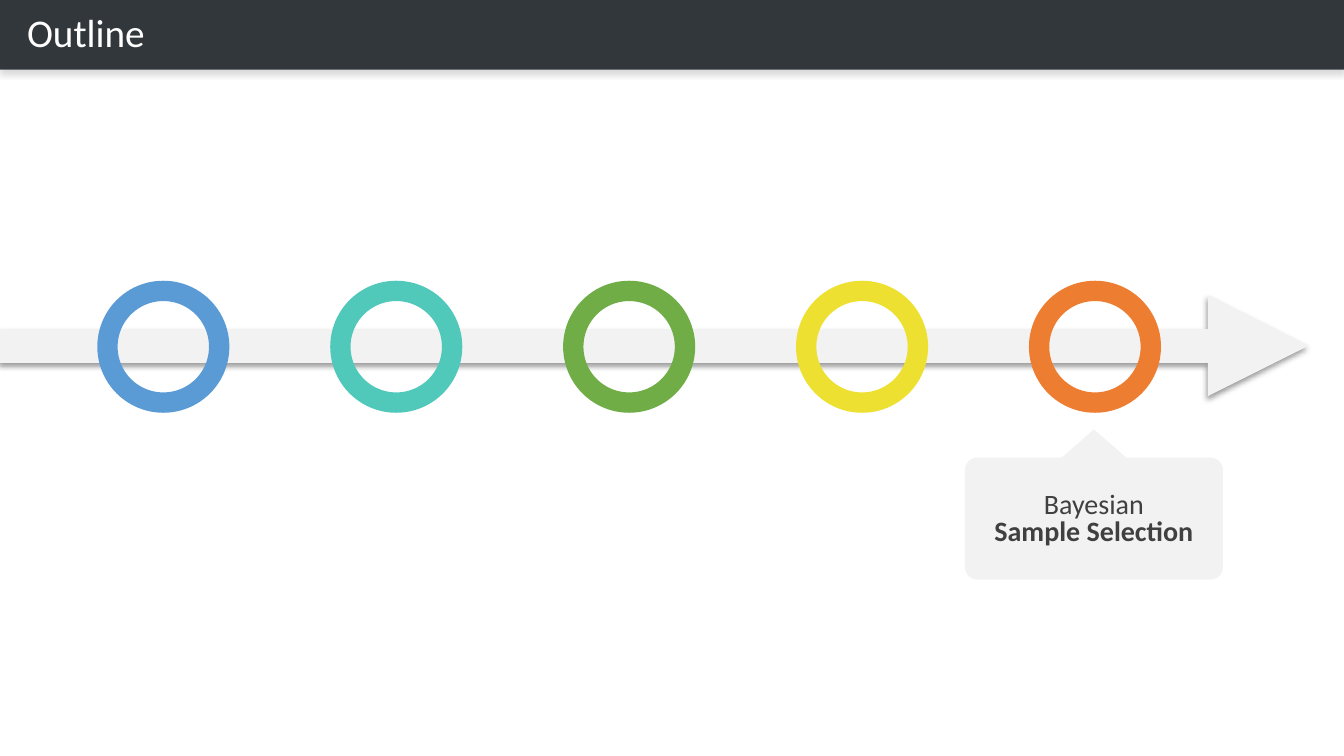
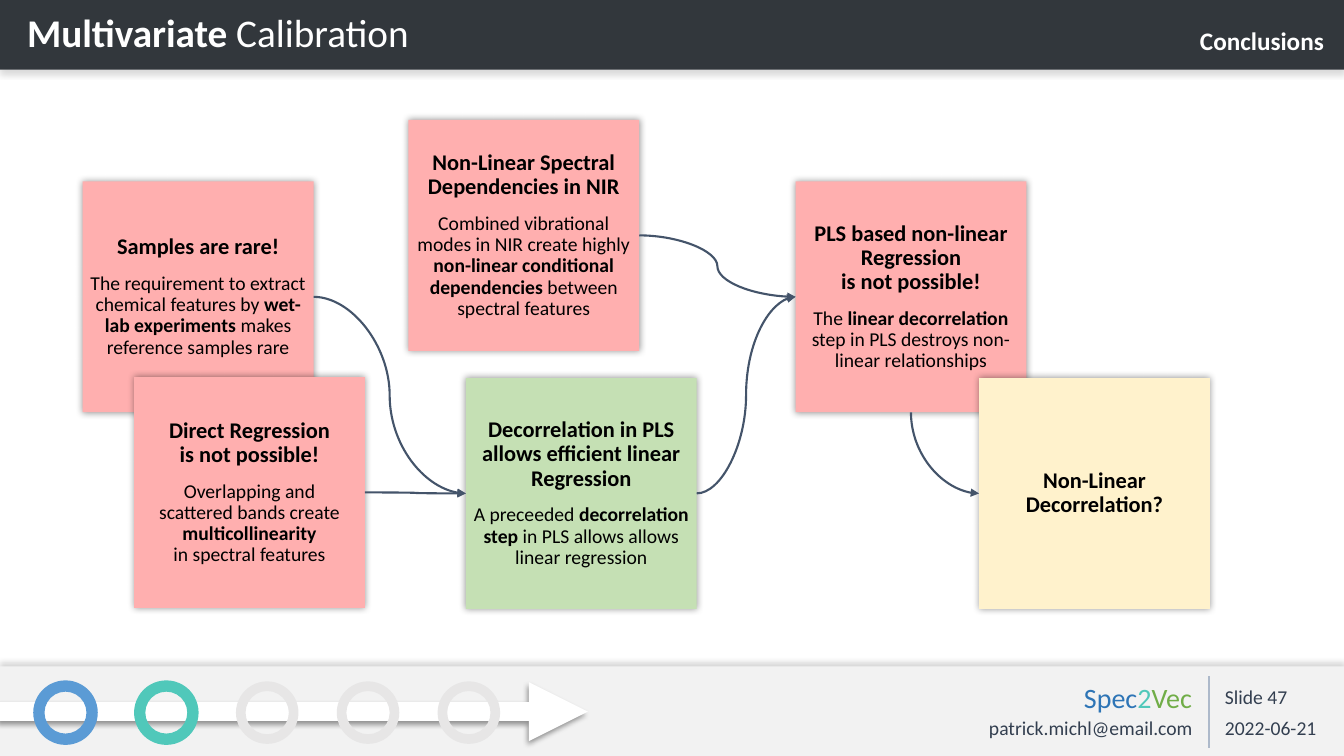
import pptx
import pptx.util
import pptx.dml.color
import pptx.enum.shapes
import pptx.enum.text
import pptx.oxml.ns
from lxml import etree

Inches = pptx.util.Inches
Pt = pptx.util.Pt
RGBColor = pptx.dml.color.RGBColor
SHAPE = pptx.enum.shapes.MSO_SHAPE
CONNECTOR = pptx.enum.shapes.MSO_CONNECTOR
ALIGN = pptx.enum.text.PP_ALIGN
ANCHOR = pptx.enum.text.MSO_ANCHOR
qn = pptx.oxml.ns.qn

FONT = "Calibri"
WHITE = RGBColor(0xFF, 0xFF, 0xFF)
BLACK = RGBColor(0x00, 0x00, 0x00)
BAND = RGBColor(0x32, 0x37, 0x3C)
PALE = RGBColor(0xF2, 0xF2, 0xF2)
INACTIVE = RGBColor(0xE7, 0xE6, 0xE6)
CHARCOAL = RGBColor(0x40, 0x40, 0x40)
FOOTER_TEXT = RGBColor(0x33, 0x3F, 0x50)
DIVIDER = RGBColor(0xAD, 0xB9, 0xCA)
FLOW_LINE = RGBColor(0x44, 0x54, 0x6A)
NAVY = RGBColor(0x2E, 0x75, 0xB6)
BLUE = RGBColor(0x5B, 0x9B, 0xD5)
TEAL = RGBColor(0x50, 0xC8, 0xBA)
GREEN = RGBColor(0x70, 0xAD, 0x47)
YELLOW = RGBColor(0xED, 0xE0, 0x31)
ORANGE = RGBColor(0xED, 0x7D, 0x31)
PROBLEM = RGBColor(0xFF, 0xAF, 0xAF)
SOLUTION = RGBColor(0xC5, 0xE0, 0xB4)
QUESTION = RGBColor(0xFF, 0xF2, 0xCC)

STAGES = [BLUE, TEAL, GREEN, YELLOW, ORANGE]
SLIDE_W, SLIDE_H = 13.33, 7.5
BAND_H = 0.69
FOOTER_H = 0.89
CARD = 2.29

# Shadows: opacity in percent, blur and distance in points, direction in degrees
BAND_SHADOW = (15, 4, 3, 90)
FOOTER_SHADOW = (15, 4, 3, 270)
ARROW_SHADOW = (40, 4, 3, 135)
CARD_SHADOW = (40, 5, 0, 0)


def set_shadow(shape, shadow=None):
    """Give the shape its own effect list, empty when there is no shadow."""
    spPr = shape._element.spPr
    for old in spPr.findall(qn("a:effectLst")):
        spPr.remove(old)
    effects = etree.SubElement(spPr, qn("a:effectLst"))
    if shadow:
        opacity, blur, dist, direction = shadow
        outer = etree.SubElement(
            effects, qn("a:outerShdw"), blurRad=str(Pt(blur)), dist=str(Pt(dist)),
            dir=str(direction * 60000), algn="ctr", rotWithShape="0")
        colour = etree.SubElement(outer, qn("a:srgbClr"), val="000000")
        etree.SubElement(colour, qn("a:alpha"), val=str(opacity * 1000))


def add_block(s, kind, x, y, w, h, fill, shadow=None, adj=None):
    sp = s.shapes.add_shape(kind, Inches(x), Inches(y), Inches(w), Inches(h))
    if adj is not None:
        sp.adjustments[0] = adj
    sp.fill.solid()
    sp.fill.fore_color.rgb = fill
    sp.line.fill.background()
    set_shadow(sp, shadow)
    return sp


def add_line(s, kind, start, end, colour, width, arrow=True, shadow=None):
    cn = s.shapes.add_connector(kind, *[Inches(v) for v in (*start, *end)])
    cn.line.color.rgb = colour
    cn.line.width = Pt(width)
    if arrow:
        etree.SubElement(cn.line._get_or_add_ln(), qn("a:tailEnd"), type="triangle")
    set_shadow(cn, shadow)
    return cn


def add_runs(p, runs, size, colour):
    """Add (text, bold[, colour]) runs; a newline becomes a line break."""
    for text, bold, *own_colour in runs:
        for i, line in enumerate(text.split("\n")):
            if i:
                p.add_line_break()
            if line:
                r = p.add_run()
                r.text = line
                r.font.name = FONT
                r.font.size = Pt(size)
                r.font.bold = bold
                r.font.color.rgb = own_colour[0] if own_colour else colour


def add_text(s, x, y, w, h, runs, size, colour, align=ALIGN.LEFT,
             anchor=ANCHOR.TOP, spacing=1.0, right=0.1):
    tf = s.shapes.add_textbox(Inches(x), Inches(y), Inches(w), Inches(h)).text_frame
    tf.word_wrap = True
    tf.vertical_anchor = anchor
    tf.margin_right = Inches(right)
    p = tf.paragraphs[0]
    p.alignment = align
    p.line_spacing = spacing
    add_runs(p, runs, size, colour)


def add_ring(s, cx, cy, size, colour, thickness):
    add_block(s, SHAPE.DONUT, cx - size / 2, cy - size / 2, size, size, colour,
              adj=thickness)


def add_header(s, title, section=None):
    add_block(s, SHAPE.RECTANGLE, 0, 0, SLIDE_W, BAND_H, BAND, BAND_SHADOW)
    add_text(s, 0.17, 0.03, 12.64, 0.64, title, 28, WHITE,
             anchor=ANCHOR.MIDDLE, spacing=0.9)
    if section:
        add_text(s, 8.57, 0.2, 4.66, 0.4, [(section, True)], 18, WHITE, ALIGN.RIGHT)


def add_footer(s, number, stages_done):
    top = SLIDE_H - FOOTER_H
    add_block(s, SHAPE.RECTANGLE, 0, top, SLIDE_W, FOOTER_H, PALE, FOOTER_SHADOW)
    middle = top + 0.45
    add_line(s, CONNECTOR.STRAIGHT, (0, middle), (5.83, middle), WHITE, 14,
             shadow=ARROW_SHADOW)
    for i, colour in enumerate(STAGES):
        done = i < stages_done
        add_ring(s, 0.65 + i, middle + 0.01, 0.64 if done else 0.62,
                 colour if done else INACTIVE, 0.175 if done else 0.154)
    add_text(s, 10.5, top + 0.09, 1.42, 0.44,
             [("Spec", False, NAVY), ("2", False, TEAL), ("Vec", False, GREEN)],
             20, NAVY, ALIGN.RIGHT)
    add_text(s, 9.43, top + 0.47, 2.44, 0.35, [("patrick.michl@email.com", False)],
             14, FOOTER_TEXT, ALIGN.RIGHT, spacing=0.9, right=0.04)
    add_line(s, CONNECTOR.STRAIGHT, (11.99, top + 0.1), (11.99, top + 0.81),
             DIVIDER, 1, arrow=False)
    add_text(s, 12.05, top + 0.14, 1.2, 0.34, [(f"Slide {number}", False)],
             14, FOOTER_TEXT)
    add_text(s, 12.05, top + 0.47, 1.2, 0.34, [("2022-06-21", False)],
             14, FOOTER_TEXT, spacing=0.9, right=0.04)


def add_callout(s, x, y, w, h, runs):
    """Rounded box whose pointer rises above its top edge."""
    add_block(s, SHAPE.DIAMOND, x + w / 2 - 0.36, y - 0.28, 0.72, 0.63, PALE)
    add_block(s, SHAPE.ROUNDED_RECTANGLE, x, y, w, h, PALE, adj=0.103)
    add_text(s, x, y + 0.14, w, h - 0.25, runs, 20, CHARCOAL, ALIGN.CENTER,
             ANCHOR.MIDDLE, 0.8)


def add_card(s, x, y, fill, heading, body):
    sp = add_block(s, SHAPE.RECTANGLE, x, y, CARD, CARD, fill, CARD_SHADOW)
    tf = sp.text_frame
    tf.word_wrap = True
    tf.vertical_anchor = ANCHOR.MIDDLE
    tf.margin_left = tf.margin_right = tf.margin_top = tf.margin_bottom = Inches(0.05)
    p = tf.paragraphs[0]
    add_runs(p, [(heading, True)], 16, BLACK)
    if body:
        p = tf.add_paragraph()
        p.space_before = Pt(10)
        add_runs(p, body, 14, BLACK)
    for p in tf.paragraphs:
        p.alignment = ALIGN.CENTER
        p.line_spacing = 0.9
    return sp


def join_cards(s, source, target):
    """Curve from the right side of one card to the left side of another."""
    cn = add_line(s, CONNECTOR.CURVE, (0, 0), (1, 1), FLOW_LINE, 1.5)
    cn.begin_connect(source, 3)
    cn.end_connect(target, 1)
    return cn


def join_below(s, source, target):
    """Quarter curve from the bottom of one card to the left side of another."""
    cn = join_cards(s, source, target)
    cn.begin_connect(source, 2)
    x, y = source.left + source.width // 2, source.top + source.height
    dx, dy = target.left - x, target.top + target.height // 2 - y
    cn.left, cn.top = x + (dx - dy) // 2, y + (dy - dx) // 2
    cn.width, cn.height = dy, dx
    xfrm = cn._element.spPr.find(qn("a:xfrm"))
    xfrm.attrib.pop("flipV", None)
    xfrm.set("rot", str(270 * 60000))
    xfrm.set("flipH", "1")
    cn._element.spPr.find(qn("a:prstGeom")).set("prst", "curvedConnector2")


def outline_slide(prs):
    s = prs.slides.add_slide(prs.slide_layouts[6])
    add_header(s, [("Outline", False)])
    add_line(s, CONNECTOR.STRAIGHT, (0, 3.43), (12.98, 3.43), PALE, 24,
             shadow=ARROW_SHADOW)
    for i, colour in enumerate(STAGES):
        add_ring(s, 1.62 + 2.31 * i, 3.44, 1.31, colour, 0.154)
    add_callout(s, 9.57, 4.54, 2.56, 1.21,
                [("Bayesian\n", False), ("Sample Selection", True)])


def conclusions_slide(prs):
    s = prs.slides.add_slide(prs.slide_layouts[6])
    add_footer(s, 47, 2)
    add_header(s, [("Multivariate", True), (" Calibration", False)], "Conclusions")
    samples = add_card(s, 0.82, 1.8, PROBLEM, "Samples are rare!", [
        ("The requirement to extract chemical features by ", False),
        ("wet-lab experiments ", True),
        ("makes reference samples rare", False)])
    direct = add_card(s, 1.33, 3.74, PROBLEM, "Direct Regression\nis not possible!", [
        ("Overlapping and\nscattered bands create ", False),
        ("multicollinearity\n", True),
        ("in spectral features", False)])
    decorrelation = add_card(
        s, 4.62, 3.75, SOLUTION,
        "Decorrelation in PLS\nallows efficient linear Regression", [
            ("A preceeded ", False),
            ("decorrelation step", True),
            (" in PLS allows allows\nlinear regression", False)])
    spectral = add_card(
        s, 4.05, 1.19, PROBLEM, "Non-Linear Spectral Dependencies in NIR", [
            ("Combined vibrational modes in NIR create highly ", False),
            ("non-linear conditional dependencies ", True),
            ("between spectral features", False)])
    pls = add_card(
        s, 7.89, 1.8, PROBLEM, "PLS based non-linear Regression\nis not possible!", [
            ("The ", False),
            ("linear decorrelation ", True),
            ("step in PLS destroys non-linear relationships", False)])
    question = add_card(s, 9.71, 3.75, QUESTION, "Non-Linear Decorrelation?", None)
    for source, target in [(samples, decorrelation), (direct, decorrelation),
                           (decorrelation, pls), (spectral, pls)]:
        join_cards(s, source, target)
    join_below(s, pls, question)


def main():
    prs = pptx.Presentation()
    prs.slide_width, prs.slide_height = Inches(SLIDE_W), Inches(SLIDE_H)
    outline_slide(prs)
    conclusions_slide(prs)
    prs.save("out.pptx")


if __name__ == "__main__":
    main()
